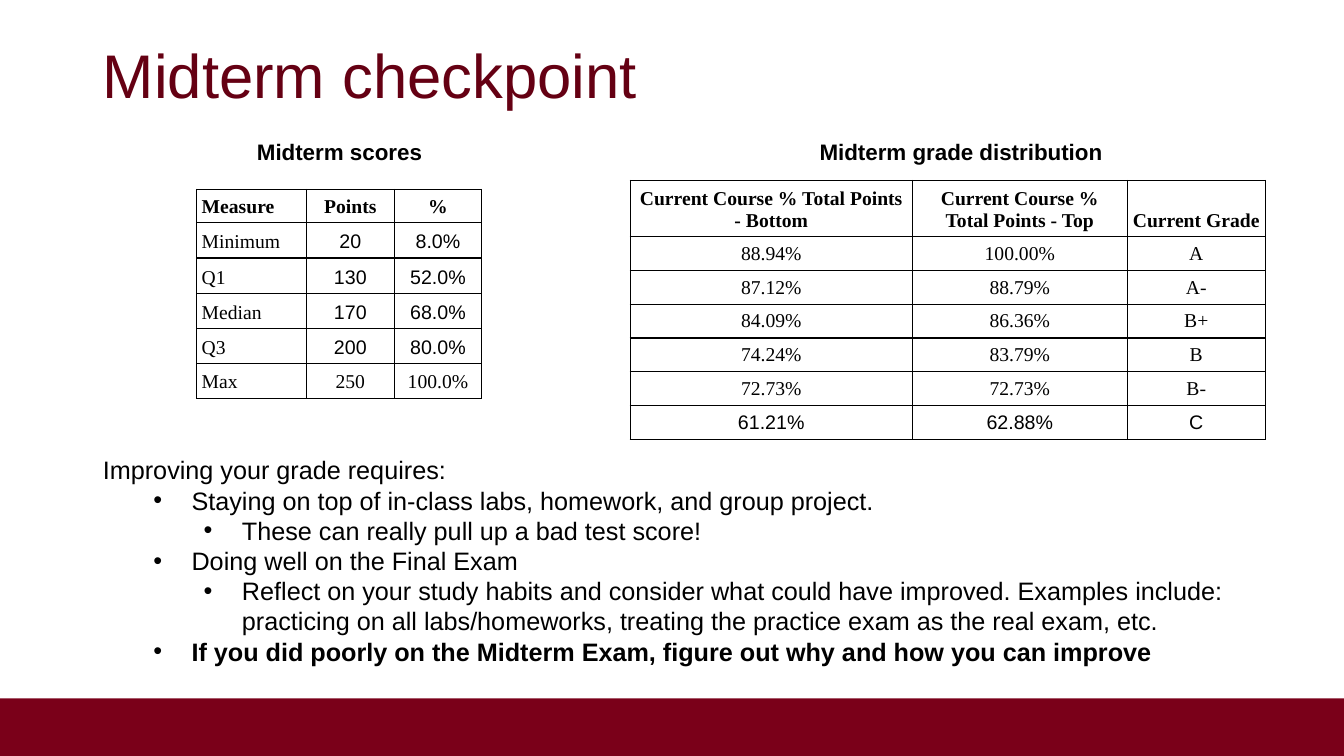
import dataclasses
import typing

import pptx
import pptx.dml.color
import pptx.enum.shapes
import pptx.enum.text
import pptx.oxml
import pptx.oxml.ns
import pptx.util

Inches = pptx.util.Inches
Pt = pptx.util.Pt
Align = pptx.enum.text.PP_ALIGN
Anchor = pptx.enum.text.MSO_ANCHOR
Fit = pptx.enum.text.MSO_AUTO_SIZE

BLACK, WHITE, MAROON, WINE = "000000", "FFFFFF", "7A0019", "650013"
SANS, SERIF = "Arial", "Times New Roman"
NS = pptx.oxml.ns.nsdecls("a")


@dataclasses.dataclass
class Box:
    left: float
    top: float
    width: float
    height: float

    def place(self) -> dict[str, int]:
        return {key: Inches(val) for key, val in dataclasses.asdict(self).items()}


@dataclasses.dataclass
class Label:
    text: str
    box: Box


@dataclasses.dataclass
class Item:
    text: str
    level: int
    bold: bool = False


@dataclasses.dataclass
class Grid:
    box: Box
    cols: list[float]
    heights: list[float]
    rows: list[list[str]]
    names: bool                      # first column is left-aligned
    inset: float                     # side margin of body cells
    anchor: Anchor                   # anchor of body cells
    sans: set[tuple[int, int]]       # cells set in the sans font
    loose: bool                      # sans cells carry extra spacing


def tint(code: str) -> pptx.dml.color.RGBColor:
    return pptx.dml.color.RGBColor.from_string(code)


def apply(target: typing.Any, values: dict[str, typing.Any]) -> None:
    for key, value in values.items():
        setattr(target, key, value)


def write(para: typing.Any, text: str, size: int, face: str = SANS,
          color: str = BLACK, bold: bool = False) -> None:
    run = para.add_run()
    run.text = text
    apply(run.font, {"size": Pt(size), "name": face, "bold": bold})
    run.font.color.rgb = tint(color)


def edge(cell: typing.Any) -> None:
    props = cell._tc.get_or_add_tcPr()
    for side in ("lnL", "lnR", "lnT", "lnB"):
        props.append(pptx.oxml.parse_xml(
            f'<a:{side} {NS} w="12700"><a:solidFill><a:srgbClr val="{BLACK}"/>'
            f'</a:solidFill></a:{side}>'))


def draw_grid(slide: typing.Any, grid: Grid) -> None:
    frame = slide.shapes.add_table(len(grid.rows), len(grid.cols), **grid.box.place())
    table = frame.table
    apply(table, {"first_row": False, "horz_banding": False})
    for col, width in zip(table.columns, grid.cols):
        col.width = Inches(width)
    for row, height in zip(table.rows, grid.heights):
        row.height = Inches(height)
    for r, texts in enumerate(grid.rows):
        for c, text in enumerate(texts):
            cell = table.cell(r, c)
            head = r == 0
            side = Inches(0.05 if head else grid.inset)
            apply(cell, {
                "margin_left": side, "margin_right": side,
                "margin_top": Inches(0.05), "margin_bottom": Inches(0.05),
                "vertical_anchor": Anchor.BOTTOM if head else grid.anchor,
            })
            edge(cell)
            cell.fill.solid()
            cell.fill.fore_color.rgb = tint(WHITE)
            para = cell.text_frame.paragraphs[0]
            para.alignment = Align.LEFT if grid.names and c == 0 else Align.CENTER
            sans = (r, c) in grid.sans
            if sans and grid.loose:
                apply(para, {"line_spacing": 1.07, "space_after": Pt(8)})
            write(para, text, 14, SANS if sans else SERIF, bold=head)


def draw_label(slide: typing.Any, label: Label) -> None:
    frame = slide.shapes.add_textbox(**label.box.place()).text_frame
    frame.word_wrap = True
    write(frame.paragraphs[0], label.text, 16, bold=True)


def draw_title(slide: typing.Any, label: Label) -> None:
    title = slide.shapes.title
    apply(title, label.box.place())
    apply(title.text_frame, {"vertical_anchor": Anchor.MIDDLE, "auto_size": Fit.NONE})
    para = title.text_frame.paragraphs[0]
    apply(para, {"alignment": Align.LEFT, "line_spacing": 0.9})
    write(para, label.text, 44, color=WINE)


def draw_list(slide: typing.Any, box: Box, items: list[Item]) -> None:
    body = slide.placeholders[1]
    apply(body, box.place())
    frame = body.text_frame
    apply(frame, {"vertical_anchor": Anchor.TOP, "auto_size": Fit.NONE})
    for i, item in enumerate(items):
        para = frame.add_paragraph() if i else frame.paragraphs[0]
        apply(para, {"level": item.level, "space_before": Pt(0), "alignment": Align.LEFT})
        props = para._p.get_or_add_pPr()
        left, hang = (0.38 + 0.5 * item.level, -0.38) if item.level else (0, 0)
        props.set("marL", str(Inches(left)))
        props.set("indent", str(Inches(hang)))
        if item.level:
            props.append(pptx.oxml.parse_xml(f'<a:buFont {NS} typeface="{SANS}"/>'))
            props.append(pptx.oxml.parse_xml(f'<a:buChar {NS} char="•"/>'))
        else:
            props.append(pptx.oxml.parse_xml(f'<a:buNone {NS}/>'))
        write(para, item.text, 18, bold=item.bold)


def draw_band(slide: typing.Any, box: Box) -> None:
    band = slide.shapes.add_shape(
        pptx.enum.shapes.MSO_SHAPE.RECTANGLE, **box.place())
    band.shadow.inherit = False
    band.fill.solid()
    band.fill.fore_color.rgb = tint(MAROON)
    band.line.fill.background()


SCORES = Grid(
    Box(1.95, 1.88, 2.83, 2.07), [1.09, 0.87, 0.87], [0.33] + [0.35] * 4 + [0.34],
    [["Measure", "Points", "%"],
     ["Minimum", "20", "8.0%"],
     ["Q1", "130", "52.0%"],
     ["Median", "170", "68.0%"],
     ["Q3", "200", "80.0%"],
     ["Max", "250", "100.0%"]],
    True, 0.05, Anchor.BOTTOM, {(r, c) for r in range(1, 5) for c in (1, 2)}, True)

GRADES = Grid(
    Box(6.25, 1.79, 6.3, 2.57), [2.8, 2.13, 1.37], [0.56] + [(2.57 - 0.56) / 6] * 6,
    [["Current Course % Total Points - Bottom", "Current Course % Total Points - Top",
      "Current Grade"],
     ["88.94%", "100.00%", "A"],
     ["87.12%", "88.79%", "A-"],
     ["84.09%", "86.36%", "B+"],
     ["74.24%", "83.79%", "B"],
     ["72.73%", "72.73%", "B-"],
     ["61.21%", "62.88%", "C"]],
    False, 0.1, Anchor.MIDDLE, {(6, c) for c in range(3)}, False)

LABELS = [Label("Midterm grade distribution", Box(8.03, 1.32, 3.3, 0.37)),
          Label("Midterm scores", Box(2.45, 1.32, 2, 0.37))]

ADVICE = [
    Item("Improving your grade requires:", 0),
    Item("Staying on top of in-class labs, homework, and group project.", 1),
    Item("These can really pull up a bad test score!", 2),
    Item("Doing well on the Final Exam", 1),
    Item("Reflect on your study habits and consider what could have improved. "
         "Examples include: practicing on all labs/homeworks, treating the practice "
         "exam as the real exam, etc.", 2),
    Item("If you did poorly on the Midterm Exam, figure out why and how you can improve",
         1, True),
]


def main() -> None:
    deck = pptx.Presentation()
    apply(deck, {"slide_width": Inches(13.33), "slide_height": Inches(7.5)})
    slide = deck.slides.add_slide(deck.slide_layouts[1])
    # Footer band, title and advice
    draw_band(slide, Box(0, 6.93, 13.33, 0.57))
    draw_title(slide, Label("Midterm checkpoint", Box(0.92, 0.05, 11.5, 1.45)))
    draw_list(slide, Box(0.92, 4.46, 11.91, 2.22), ADVICE)
    # Tables and their headings
    for grid in (SCORES, GRADES):
        draw_grid(slide, grid)
    for label in LABELS:
        draw_label(slide, label)
    deck.save("out.pptx")


if __name__ == "__main__":
    main()
